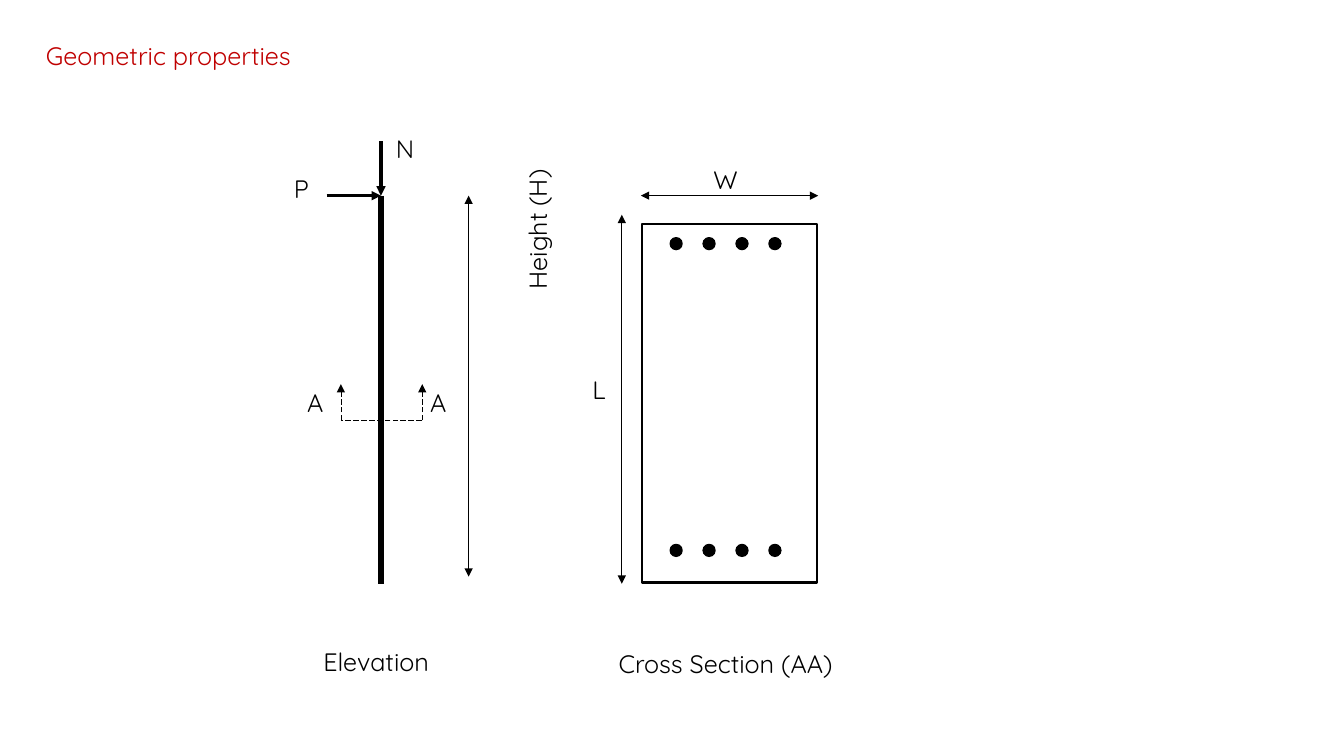
from lxml.etree import SubElement
from pptx import Presentation
from pptx.dml.color import RGBColor
from pptx.enum.dml import MSO_LINE
from pptx.enum.shapes import MSO_CONNECTOR, MSO_SHAPE
from pptx.oxml.ns import qn
from pptx.util import Cm, Pt

# Content: lengths in centimetres
BLACK, RED = "000000", "C00000"
FONT = {"name": "Quicksand", "size": Pt(18)}
LABEL_HEIGHT = 1.02

# Text, left, top, width, rotation, colour
LABELS = [
    ("N", 9.73, 3.23, 0.99, 0, BLACK),
    ("P", 7.16, 4.24, 0.94, 0, BLACK),
    ("Height (H)", 11.71, 5.2, 3.66, 270, BLACK),
    ("A", 7.49, 9.63, 0.97, 0, BLACK),
    ("A", 10.59, 9.63, 0.97, 0, BLACK),
    ("Cross Section (AA)", 15.34, 16.21, 6.4, 0, BLACK),
    ("Geometric properties", 0.91, 0.89, 7.37, 0, RED),
    ("Elevation", 7.9, 16.15, 3.35, 0, BLACK),
    ("W", 17.73, 4.01, 1.12, 0, BLACK),
    ("L", 14.68, 9.3, 0.89, 0, BLACK),
]

# Start, end, width in points, arrowed ends, dashed
WALL_TOP, WALL_FOOT = (9.6, 4.93), (9.6, 14.71)
BOTH, END = ("headEnd", "tailEnd"), ("tailEnd",)
LINES = [
    (WALL_TOP, WALL_FOOT, 4.5, (), False),
    ((8.23, 4.93), WALL_TOP, 2.25, END, False),
    ((9.6, 3.56), WALL_TOP, 2.25, END, False),
    ((11.81, 4.93), (11.81, 14.53), 0.5, BOTH, False),
    ((10.63, 10.59), (8.6, 10.59), 0.5, (), True),
    ((10.64, 10.59), (10.64, 9.68), 0.5, END, True),
    ((8.59, 10.59), (8.59, 9.68), 0.5, END, True),
    ((15.67, 5.41), (15.67, 14.71), 0.5, BOTH, False),
    ((20.62, 4.93), (16.15, 4.93), 0.5, BOTH, False),
]

SECTION = (16.18, 5.64, 4.42, 9.04)
BAR_LEFT, BAR_STEP, BAR_SIZE, BARS_PER_ROW = 16.89, 0.83, 0.3, 4
BAR_TOPS = (5.99, 13.72)


def color(value):
    return RGBColor.from_string(value)


def add_label(page, text, left, top, width, rotation, ink):
    box = page.shapes.add_textbox(Cm(left), Cm(top), Cm(width), Cm(LABEL_HEIGHT))
    box.rotation = rotation
    box.text_frame.word_wrap = rotation != 0
    span = box.text_frame.paragraphs[0].add_run()
    span.text = text
    for name, value in FONT.items():
        setattr(span.font, name, value)
    span.font.color.rgb = color(ink)


def add_line(page, start, end, width, arrows, dashed):
    ends = [Cm(value) for value in (*start, *end)]
    line = page.shapes.add_connector(MSO_CONNECTOR.STRAIGHT, *ends)
    line.line.width = Pt(width)
    line.line.color.rgb = color(BLACK)
    if dashed:
        line.line.dash_style = MSO_LINE.LONG_DASH
    for arrow in arrows:
        SubElement(line.line._get_or_add_ln(), qn(f"a:{arrow}"), type="triangle")
    SubElement(line._element.spPr, qn("a:effectLst"))


def add_outline(page, kind, frame, width, filled):
    shape = page.shapes.add_shape(kind, *[Cm(value) for value in frame])
    shape.shadow.inherit = False
    if filled:
        shape.fill.solid()
        shape.fill.fore_color.rgb = color(BLACK)
    else:
        shape.fill.background()
    shape.line.color.rgb = color(BLACK)
    shape.line.width = Pt(width)


def main():
    deck = Presentation()
    deck.slide_width, deck.slide_height = Cm(33.87), Cm(19.05)
    page = deck.slides.add_slide(deck.slide_layouts[6])

    # Loads, wall, section mark and dimensions
    for line in LINES:
        add_line(page, *line)

    # Cross section with two rows of bars
    add_outline(page, MSO_SHAPE.RECTANGLE, SECTION, 1.5, False)
    for top in BAR_TOPS:
        for column in range(BARS_PER_ROW):
            frame = (BAR_LEFT + column * BAR_STEP, top, BAR_SIZE, BAR_SIZE)
            add_outline(page, MSO_SHAPE.OVAL, frame, 1, True)

    # Labels
    for label in LABELS:
        add_label(page, *label)

    deck.save("out.pptx")


if __name__ == "__main__":
    main()
